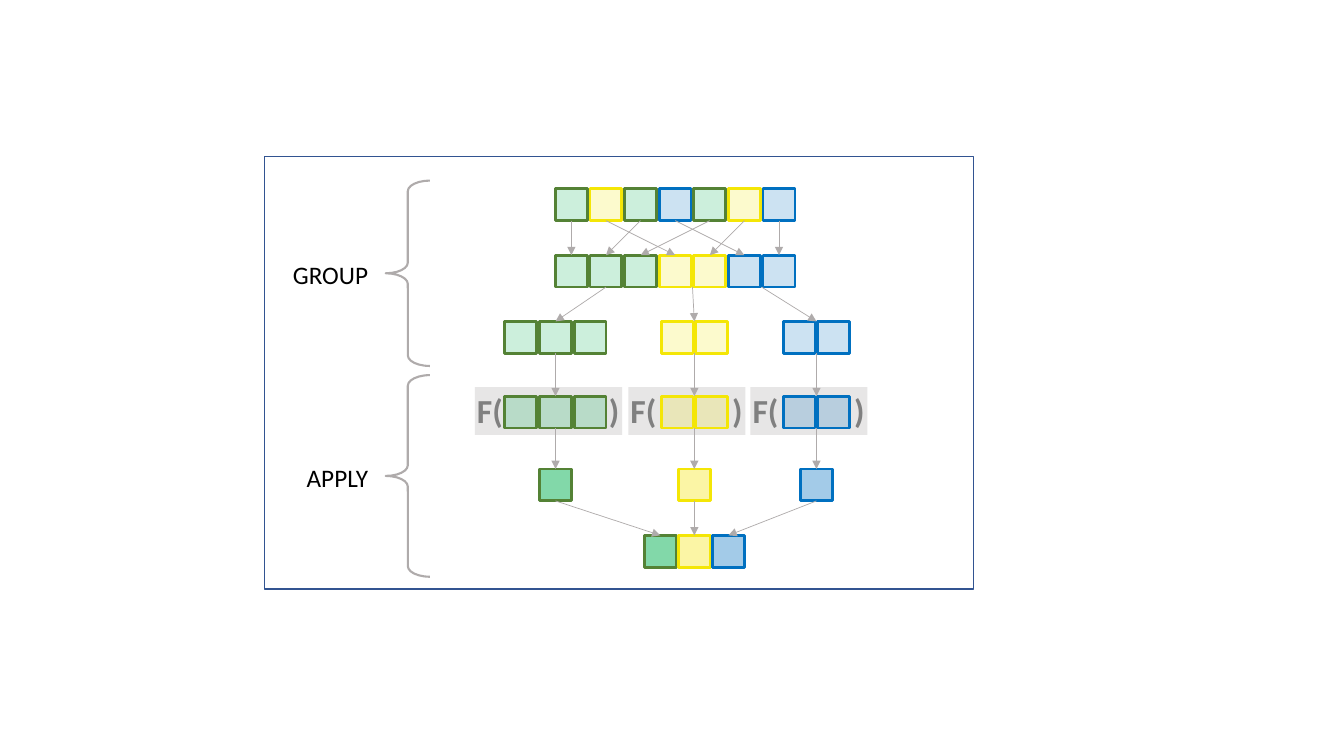
from lxml.etree import SubElement
from pptx import Presentation
from pptx.dml.color import RGBColor
from pptx.enum.shapes import MSO_CONNECTOR, MSO_SHAPE
from pptx.enum.text import MSO_ANCHOR, PP_ALIGN
from pptx.oxml.ns import qn
from pptx.util import Pt

FRAME_BLUE = RGBColor(0x32, 0x54, 0x91)
PANEL_GRAY = RGBColor(0xE7, 0xE6, 0xE6)
FUNCTION_GRAY = RGBColor(0x80, 0x80, 0x80)
ARROW_GRAY = RGBColor(0xAF, 0xAB, 0xAB)
BLACK = RGBColor(0x00, 0x00, 0x00)
GREEN = RGBColor(0x00, 0xB0, 0x50)
DARK_GREEN = RGBColor(0x54, 0x82, 0x35)
YELLOW = RGBColor(0xF4, 0xE6, 0x06)
BLUE = RGBColor(0x00, 0x70, 0xC0)

CELL = 22.8
PITCH = 24.72
SEQUENCE_CENTER = 482.3
MIXED_TOP, SORTED_TOP, SPLIT_TOP = 134.8, 182.3, 229.6
APPLY_TOP, RESULT_TOP, COMBINED_TOP = 283, 335, 382.4

# fill, outline, centre of the column, opacity of the result cell
GROUPS = [
    (GREEN, DARK_GREEN, 396.8, 49),
    (YELLOW, YELLOW, 496, 36),
    (BLUE, BLUE, 583.2, 36),
]
MIXED = [0, 1, 0, 2, 0, 1, 2]  # group of each cell in the input

presentation = Presentation()
presentation.slide_width = Pt(960)
presentation.slide_height = Pt(540)
slide = presentation.slides.add_slide(presentation.slide_layouts[6])


def add_box(kind, left, top, width, height, fill=None, opacity=100, line=None, weight=1):
    """Add a preset shape with optional translucent fill and outline."""
    shape = slide.shapes.add_shape(kind, Pt(left), Pt(top), Pt(width), Pt(height))
    shape.shadow.inherit = False
    if fill is None:
        shape.fill.background()
    else:
        shape.fill.solid()
        shape.fill.fore_color.rgb = fill
        if opacity < 100:
            color = shape.fill._xPr.find(qn("a:solidFill"))[0]
            SubElement(color, qn("a:alpha"), val=str(opacity * 1000))
    if line is None:
        shape.line.fill.background()
    else:
        shape.line.color.rgb = line
        shape.line.width = Pt(weight)
    return shape


def write_text(shape, text, size=18, color=BLACK, bold=False, align=PP_ALIGN.LEFT,
               margins=(7.2, 3.6, 7.2, 3.6), tab=None):
    """Write one formatted line into a shape, with an optional tab stop."""
    frame = shape.text_frame
    frame.word_wrap = True
    frame.vertical_anchor = MSO_ANCHOR.MIDDLE
    frame.margin_left, frame.margin_top, frame.margin_right, frame.margin_bottom = map(Pt, margins)
    paragraph = frame.paragraphs[0]
    paragraph.alignment = align
    run = paragraph.add_run()
    run.text = text
    run.font.name = "Calibri"
    run.font.size = Pt(size)
    run.font.bold = bold
    run.font.color.rgb = color
    if tab is not None:
        tab_list = SubElement(paragraph._p.get_or_add_pPr(), qn("a:tabLst"))
        SubElement(tab_list, qn("a:tab"), pos=str(Pt(tab)), algn="l")


add_box(MSO_SHAPE.RECTANGLE, 188.8, 112, 506.4, 308.8, line=FRAME_BLUE)

# Function panels behind the cells of the apply row
for (_, _, center, _), width in zip(GROUPS, (105.2, 83.6, 83.6)):
    left = center + (-57.6 if width > 100 else -47.2)
    panel = add_box(MSO_SHAPE.RECTANGLE, left, 276.6, width, 34, fill=PANEL_GRAY)
    write_text(panel, "F(\t)", size=24, color=FUNCTION_GRAY, bold=True,
               margins=(1.5, 1.5, 1.5, 3.6), tab=width - 11)

# Rows of cells: centre, top, groups, opacities
ordered = sorted(MIXED)
rows = [(SEQUENCE_CENTER, MIXED_TOP, MIXED, 20), (SEQUENCE_CENTER, SORTED_TOP, ordered, 20)]
for group, (_, _, center, opacity) in enumerate(GROUPS):
    members = [group] * MIXED.count(group)
    rows += [(center, SPLIT_TOP, members, 20), (center, APPLY_TOP, members, 20),
             (center, RESULT_TOP, [group], opacity)]
    combined_center = GROUPS[1][2] + (group - 1) * 24.3
    rows.append((combined_center, COMBINED_TOP, [group], opacity))

for center, top, members, opacity in rows:
    start = center - ((len(members) - 1) * PITCH + CELL) / 2
    for index, group in enumerate(members):
        fill, outline = GROUPS[group][:2]
        add_box(MSO_SHAPE.RECTANGLE, start + index * PITCH, top, CELL, CELL,
                fill=fill, opacity=opacity, line=outline, weight=2)

# Arrows: start x, start y, end x, end y
slots = [SEQUENCE_CENTER + (index - 3) * PITCH for index in range(len(MIXED))]
stable_order = sorted(range(len(MIXED)), key=lambda index: MIXED[index])
arrows = [(slots[source], MIXED_TOP + CELL, slots[target], SORTED_TOP)
          for target, source in enumerate(stable_order)]
for group, (_, _, center, _) in enumerate(GROUPS):
    group_slots = [slot for slot, member in zip(slots, ordered) if member == group]
    combined_center = GROUPS[1][2] + (group - 1) * 24.3
    arrows += [
        (sum(group_slots) / len(group_slots), SORTED_TOP + CELL, center, SPLIT_TOP),
        (center, SPLIT_TOP + CELL, center, APPLY_TOP),
        (center, APPLY_TOP + CELL, center, RESULT_TOP),
        (center, RESULT_TOP + CELL, combined_center, COMBINED_TOP),
    ]
for arrow in arrows:
    connector = slide.shapes.add_connector(MSO_CONNECTOR.STRAIGHT, *map(Pt, arrow))
    connector.line.color.rgb = ARROW_GRAY
    connector.line.width = Pt(0.5)
    SubElement(connector.line._get_or_add_ln(), qn("a:tailEnd"), type="triangle")
    SubElement(connector._element.spPr, qn("a:effectLst"))

# Phase labels and braces
for label, label_top, brace_top, brace_height in (
    ("GROUP", 181.6, 129, 132.4),
    ("APPLY", 326.4, 268, 144),
):
    text_box = slide.shapes.add_textbox(Pt(201.6), Pt(label_top), Pt(68.4), Pt(29))
    write_text(text_box, label, align=PP_ALIGN.RIGHT)
    brace = add_box(MSO_SHAPE.LEFT_BRACE, 275.5, brace_top, 31.6, brace_height,
                    line=ARROW_GRAY, weight=1.5)
    brace.adjustments[0] = 0.24

presentation.save("out.pptx")
